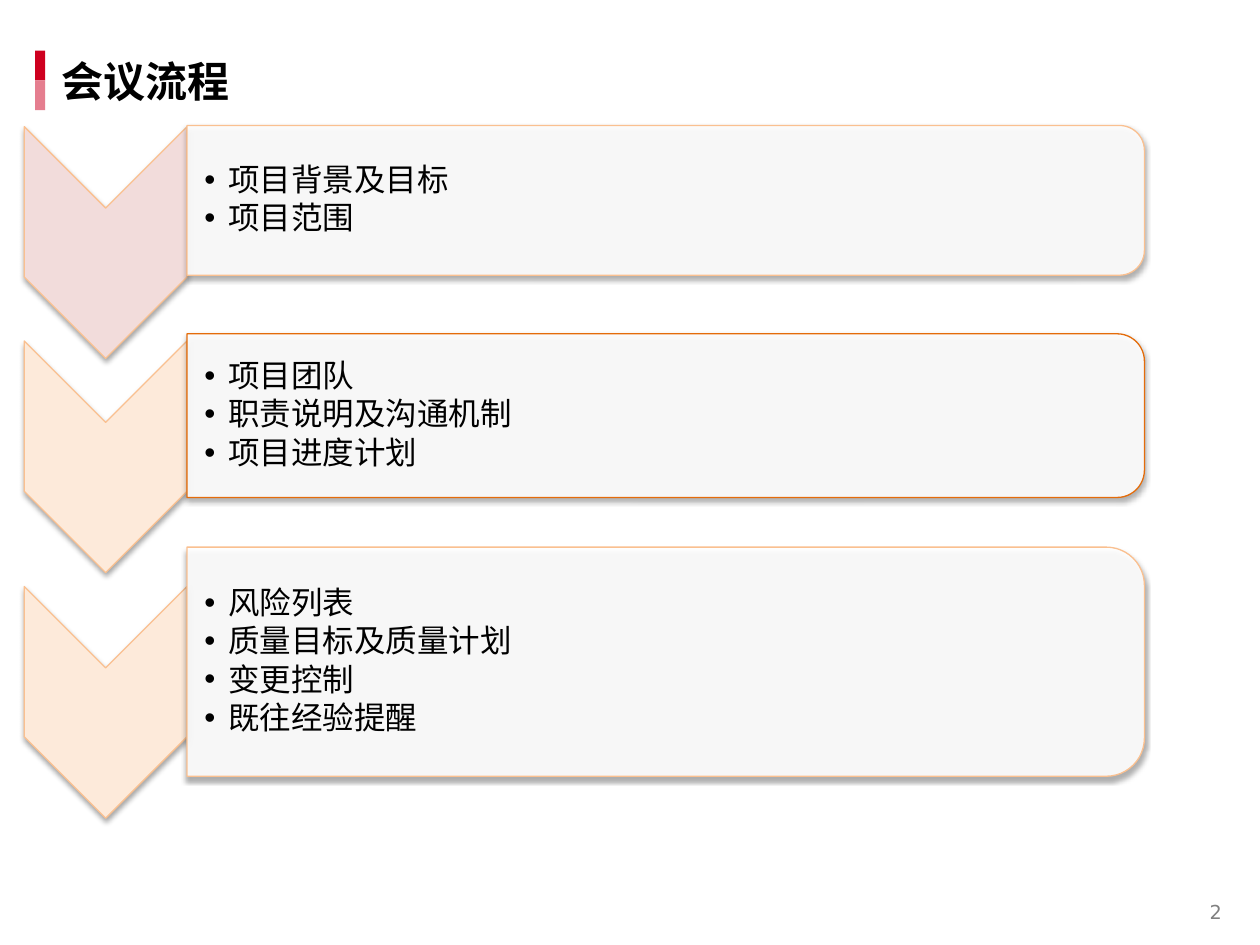
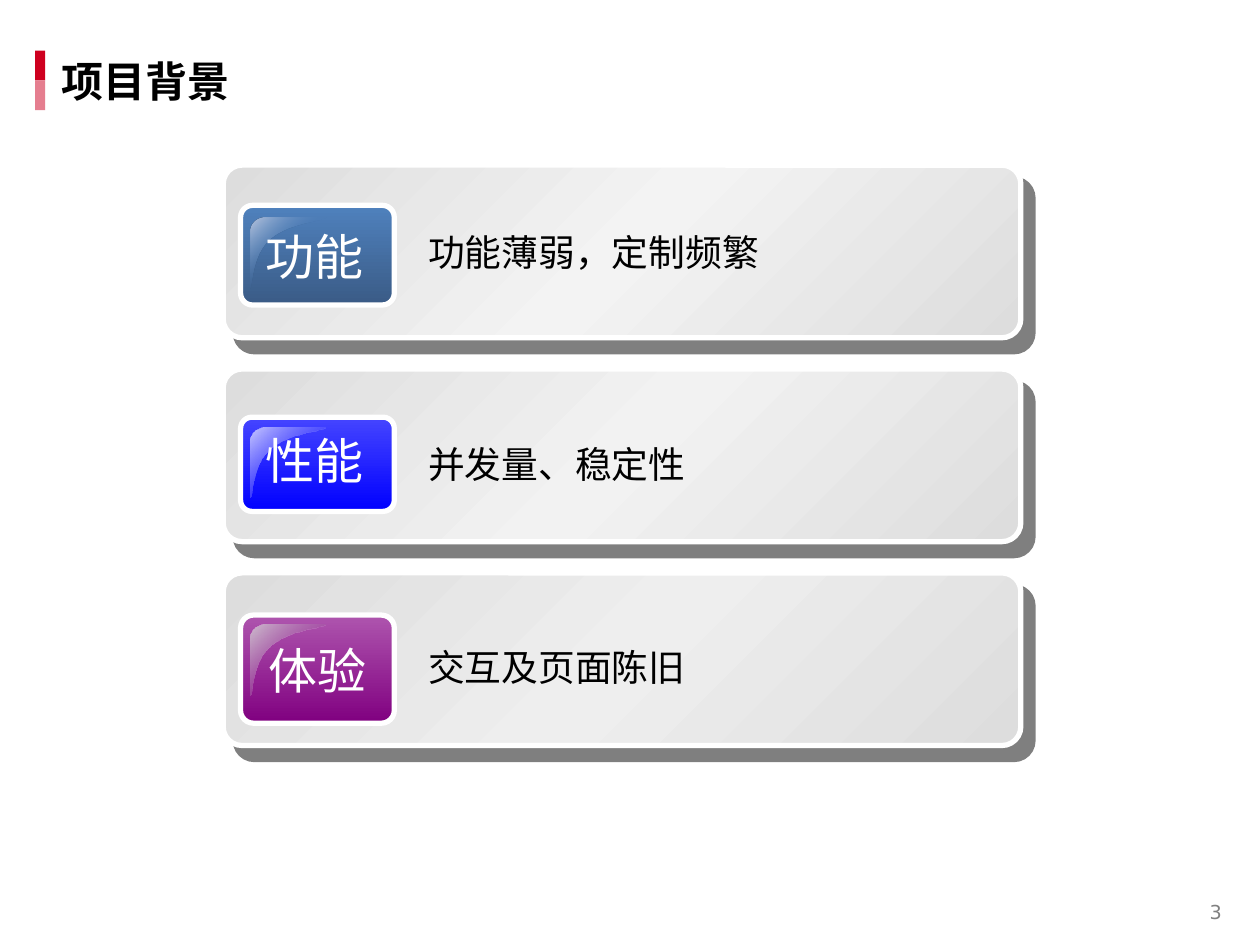
from dataclasses import dataclass

from pptx import Presentation
from pptx.dml.color import RGBColor
from pptx.enum.shapes import MSO_SHAPE as Shape
from pptx.enum.text import MSO_ANCHOR as Anchor, MSO_AUTO_SIZE as AutoSize, PP_ALIGN as Align
from pptx.oxml import parse_xml
from pptx.oxml.ns import nsdecls, qn
from pptx.util import Cm, Pt

RED, PINK, GREY = "CE001F", "E57E8F", "808080"
WHITE, BLACK = "FFFFFF", "000000"
PEACH, ORANGE, CREAM, ROSE = "FAC090", "E46C0A", "FDEADA", "F2DCDB"
PANEL_EDGE = "DDDDDD"
COMPARISON_LAYOUT, TITLE_ONLY_LAYOUT = 4, 5


@dataclass
class Stop:
    """One gradient stop: position and opacity in percent."""
    pos: int
    color: str
    alpha: int = 100


@dataclass
class Shadow:
    alpha: int
    blur: float
    dist: float
    angle: int


@dataclass
class Stage:
    """An agenda step: chevron and panel by their vertical centres, in cm."""
    chevron_y: float
    chevron_fill: str
    panel_y: float
    panel_height: float
    panel_line: str
    items: list[str]
    align: Align = Align.LEFT


@dataclass
class Issue:
    """A background card; tops and heights in cm."""
    label: str
    text: str
    middle: str
    badge_top: float
    badge_height: float
    badge: list[Stop]
    gloss_top: float
    gloss: list[Stop]
    label_left: float
    label_top: float
    label_font: str
    text_top: float


STAGE_SHADOW = Shadow(35, 3.1, 1.8, 90)
CARD_SHADOW = Shadow(50, 0, 10.6, 49)

STAGES = [
    Stage(4.89, ROSE, 4.04, 3.02, PEACH, ["项目背景及目标", "项目范围"]),
    Stage(9.21, CREAM, 8.38, 3.3, ORANGE,
          ["项目团队", "职责说明及沟通机制", "项目进度计划"], Align.JUSTIFY),
    Stage(14.16, CREAM, 13.34, 4.62, PEACH,
          ["风险列表", "质量目标及质量计划", "变更控制", "既往经验提醒"]),
]

ISSUES = [
    Issue("功能", "功能薄弱，定制频繁", "F3F3F3", 4.14, 2.01,
          [Stop(0, "4F81BD"), Stop(100, "3A5B86")], 4.39,
          [Stop(0, "BBC7DE"), Stop(50, "4F81BD", 0), Stop(100, "BBC7DE")],
          5.1, 4.44, "DejaVu Sans", 4.5),
    Issue("性能", "并发量、稳定性", "F2F2F2", 8.41, 1.9,
          [Stop(0, "4545FF"), Stop(100, "0000FF")], 8.61,
          [Stop(0, "C9C9FF"), Stop(100, "0000FF", 0)],
          5.1, 8.56, "DejaVu Sans", 8.79),
    Issue("体验", "交互及页面陈旧", "EEEEEE", 12.4, 2.18,
          [Stop(0, "AE55AE"), Stop(100, "800080")], 12.6,
          [Stop(0, "CEBFCE"), Stop(100, "800080", 0)],
          5.16, 12.78, "Arial", 12.88),
]


def rgb(color: str) -> RGBColor:
    return RGBColor.from_string(color)


def set_gradient(sp, stops: list[Stop], angle: int) -> None:
    marks = "".join(
        f'<a:gs pos="{g.pos * 1000}"><a:srgbClr val="{g.color}">'
        f'<a:alpha val="{g.alpha * 1000}"/></a:srgbClr></a:gs>' for g in stops)
    sp.fill.background()
    props = sp.element.spPr
    props.replace(props.find(qn("a:noFill")), parse_xml(
        f'<a:gradFill {nsdecls("a")} rotWithShape="1"><a:gsLst>{marks}</a:gsLst>'
        f'<a:lin ang="{angle * 60000}" scaled="0"/></a:gradFill>'))


def set_shadow(sp, shadow: Shadow) -> None:
    props = sp.element.spPr
    props.replace(props.find(qn("a:effectLst")), parse_xml(
        f'<a:effectLst {nsdecls("a")}><a:outerShdw blurRad="{Pt(shadow.blur)}" '
        f'dist="{Pt(shadow.dist)}" dir="{shadow.angle * 60000}" rotWithShape="0">'
        f'<a:srgbClr val="{BLACK}"><a:alpha val="{shadow.alpha * 1000}"/></a:srgbClr>'
        '</a:outerShdw></a:effectLst>'))


def set_alpha(sp, alpha: int) -> None:
    color = sp.element.spPr.find(qn("a:solidFill"))[0]
    color.append(parse_xml(f'<a:alpha {nsdecls("a")} val="{alpha * 1000}"/>'))


def paint(sp, fill: str | list[Stop], angle: int = 0, line: str = "",
          width: float = 0.75, shadow: Shadow | None = None) -> None:
    sp.shadow.inherit = False
    if isinstance(fill, str):
        sp.fill.solid()
        sp.fill.fore_color.rgb = rgb(fill)
    else:
        set_gradient(sp, fill, angle)
    if line:
        sp.line.color.rgb = rgb(line)
        sp.line.width = Pt(width)
    else:
        sp.line.fill.background()
    if shadow:
        set_shadow(sp, shadow)


def add_box(s, kind: Shape, left: float, top: float, width: float, height: float):
    return s.shapes.add_shape(kind, Cm(left), Cm(top), Cm(width), Cm(height))


def add_turned(s, kind: Shape, x: float, y: float, width: float, height: float):
    """Add a shape centred on (x, y) and turned clockwise by a quarter."""
    sp = add_box(s, kind, x - width / 2, y - height / 2, width, height)
    sp.rotation = 90
    return sp


def place(sp, left: float, top: float, width: float, height: float) -> None:
    sp.left, sp.top, sp.width, sp.height = Cm(left), Cm(top), Cm(width), Cm(height)


def set_margins(tf, left: float, top: float, right: float, bottom: float) -> None:
    tf.margin_left, tf.margin_top = Cm(left), Cm(top)
    tf.margin_right, tf.margin_bottom = Cm(right), Cm(bottom)


def style_runs(p, size: float, font: str, color: str, bold: bool = False) -> None:
    for r in p.runs:
        r.font.size, r.font.name, r.font.bold = Pt(size), font, bold
        r.font.color.rgb = rgb(color)


def add_text(s, text: str, left: float, top: float, width: float, height: float,
             size: float, font: str, color: str, wrap: bool = True):
    tf = s.shapes.add_textbox(Cm(left), Cm(top), Cm(width), Cm(height)).text_frame
    tf.word_wrap = wrap
    tf.text = text
    style_runs(tf.paragraphs[0], size, font, color)
    return tf


def start_slide(prs, layout: int, title: str, number: int):
    """Add a slide with the shared title, its marker bars and the page number."""
    s = prs.slides.add_slide(prs.slide_layouts[layout])
    for i, color in enumerate((RED, PINK)):
        paint(add_box(s, Shape.RECTANGLE, 0.71, 1.02 + 0.6 * i, 0.2, 0.6), color)

    place(s.shapes.title, 0.91, 1.02, 11.81, 1.22)
    tf = s.shapes.title.text_frame
    tf.text = title
    tf.auto_size, tf.vertical_anchor = AutoSize.NONE, Anchor.MIDDLE
    set_margins(tf, 0.33, 0.18, 0.33, 0.18)
    tf.paragraphs[0].alignment = Align.LEFT
    style_runs(tf.paragraphs[0], 24, "Noto Sans CJK SC", BLACK, bold=True)

    tf = add_text(s, str(number), 23.7, 17.89, 1.62, 0.99, 11, "DejaVu Sans", GREY)
    tf.vertical_anchor = Anchor.MIDDLE
    tf.paragraphs[0].alignment = Align.CENTER
    return s


def fill_list(sp, stage: Stage) -> None:
    height = stage.panel_height - 0.3
    place(sp, 3.76, stage.panel_y - height / 2, 19.1, height)
    tf = sp.text_frame
    tf.text = "\n".join(stage.items)
    tf.auto_size, tf.vertical_anchor = AutoSize.NONE, Anchor.MIDDLE
    set_margins(tf, 0.36, 0.03, 0.03, 0.03)
    for p in tf.paragraphs:
        p.alignment, p.line_spacing = stage.align, 0.9
        p.space_before, p.space_after = Pt(0), Pt(2.5)
        props = p._p.get_or_add_pPr()
        props.set("marL", str(Cm(0.48)))
        props.set("indent", str(Cm(-0.48)))
        props.append(parse_xml(f'<a:buFont {nsdecls("a")} typeface="Arial"/>'))
        props.append(parse_xml(f'<a:buChar {nsdecls("a")} char="•"/>'))
        style_runs(p, 18, "Calibri", BLACK)


def build_agenda(prs) -> None:
    s = start_slide(prs, COMPARISON_LAYOUT, "会议流程", 2)
    *lists, spare = [ph for ph in s.placeholders if ph.placeholder_format.idx > 0]
    s.shapes.element.remove(spare.element)
    for stage, body in zip(STAGES, lists):
        chevron = add_turned(s, Shape.CHEVRON, 2.13, stage.chevron_y, 4.67, 3.28)
        paint(chevron, stage.chevron_fill, line=PEACH, shadow=STAGE_SHADOW)
        panel = add_turned(s, Shape.ROUND_2_SAME_RECTANGLE, 13.42, stage.panel_y,
                           stage.panel_height, 19.3)
        paint(panel, WHITE, line=stage.panel_line, shadow=STAGE_SHADOW)
        set_alpha(panel, 90)
        fill_list(body, stage)
        s.shapes.element.append(body.element)  # bring the list above its panel


def curve(*ctrl: tuple[float, float], steps: int = 12) -> list[tuple[float, float]]:
    """Points along a cubic Bézier curve given by four control points."""
    def at(t: float, axis: int) -> float:
        a, b, c, d = (point[axis] for point in ctrl)
        u = 1 - t
        return u**3 * a + 3 * u * u * t * b + 3 * u * t * t * c + t**3 * d
    return [(at(i / steps, 0), at(i / steps, 1)) for i in range(steps + 1)]


GLOSS = (curve((0.3, 0), (0.13, 0), (0, 0.13), (0, 0.28))
         + curve((0, 1.42), (0.05, 1.42), (0.03, 0.74), (0.41, 0.43))
         + curve((0.41, 0.43), (0.79, 0.1), (1.52, 0.08), (1.52, 0)))


def add_gloss(s, left: float, top: float, stops: list[Stop]) -> None:
    points = [(Cm(left + x), Cm(top + y)) for x, y in GLOSS]
    builder = s.shapes.build_freeform(*points[0])
    builder.add_line_segments(points[1:], close=True)
    paint(builder.convert_to_shape(), stops, 45)


def build_background(prs) -> None:
    s = start_slide(prs, TITLE_ONLY_LAYOUT, "项目背景", 3)
    for i, issue in enumerate(ISSUES):
        card = add_box(s, Shape.ROUNDED_RECTANGLE, 4.5, 3.33 + 4.11 * i, 16.08, 3.48)
        card.adjustments[0] = 0.11
        stops = [Stop(0, PANEL_EDGE), Stop(50, issue.middle), Stop(100, PANEL_EDGE)]
        paint(card, stops, 45, WHITE, 3, CARD_SHADOW)
        badge = add_box(s, Shape.ROUNDED_RECTANGLE, 4.85, issue.badge_top,
                        3.1, issue.badge_height)
        badge.adjustments[0] = 0.12
        paint(badge, issue.badge, 90, WHITE, 3)
        add_gloss(s, 5.05, issue.gloss_top, issue.gloss)
        add_text(s, issue.label, issue.label_left, issue.label_top, 2.51, 1.45,
                 28, issue.label_font, WHITE, wrap=False)
        add_text(s, issue.text, 8.38, issue.text_top, 11.81, 1.14, 21, "Arial", BLACK)


def main() -> None:
    prs = Presentation()
    prs.slide_width, prs.slide_height = Cm(25.4), Cm(19.05)
    build_agenda(prs)
    build_background(prs)
    prs.save("out.pptx")


if __name__ == "__main__":
    main()
